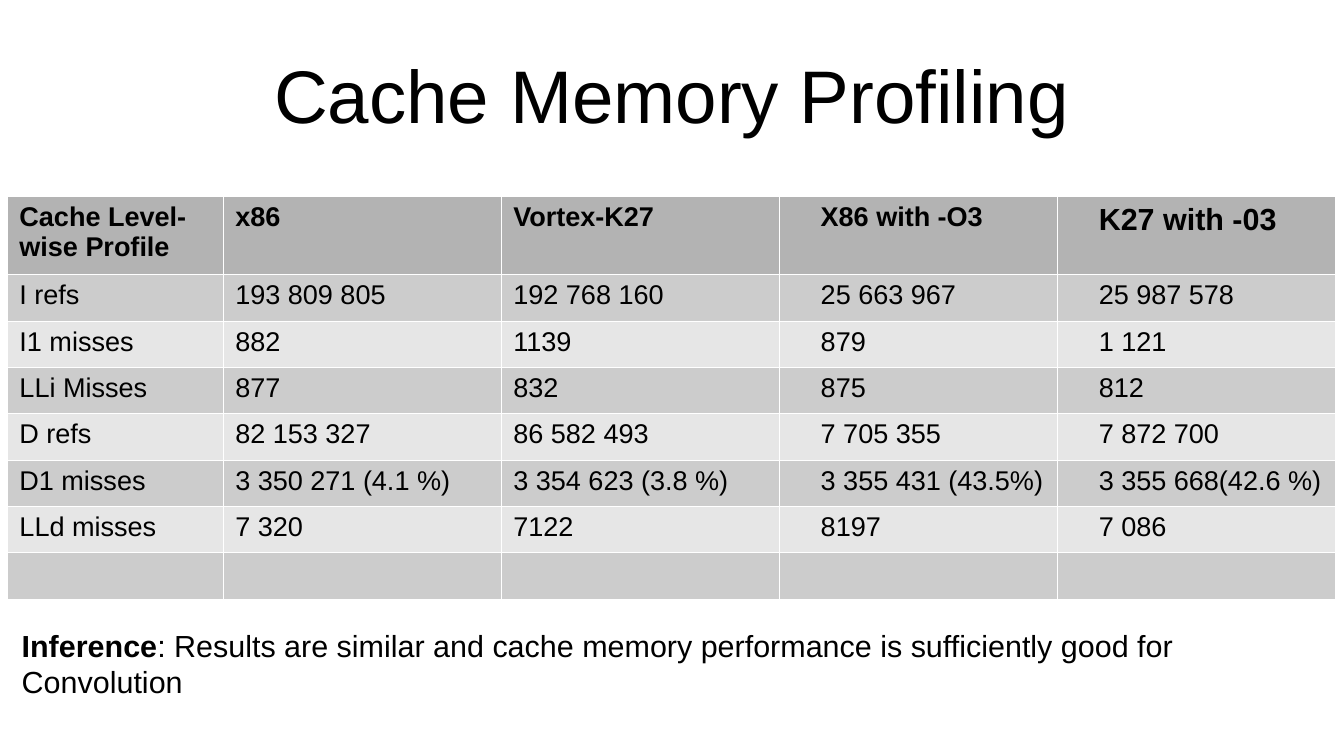
from dataclasses import dataclass
from lxml.etree import SubElement
from pptx import Presentation
from pptx.dml.color import RGBColor
from pptx.enum.text import MSO_ANCHOR, PP_ALIGN
from pptx.oxml.ns import qn
from pptx.util import Inches, Pt


@dataclass(frozen=True)
class Theme:
    face: str = "Arial"
    ink: str = "000000"
    line: str = "FFFFFF"
    head: str = "B3B3B3"
    bands: tuple = ("CCCCCC", "E6E6E6")
    title: int = 44
    note: int = 18
    body: int = 16


THEME = Theme()
WIDTHS = [1.77] + [2.28] * 4
ROWS = [
    ["Cache Level-wise Profile", "x86", "Vortex-K27", "X86 with -O3", "K27 with -03"],
    ["I refs", "193 809 805", "192 768 160", "25 663 967", "25 987 578"],
    ["I1 misses", "882", "1139", "879", "1 121"],
    ["LLi Misses", "877", "832", "875", "812"],
    ["D refs", "82 153 327", "86 582 493", "7 705 355", "7 872 700"],
    ["D1 misses", "3 350 271 (4.1 %)", "3 354 623 (3.8 %)",
     "3 355 431 (43.5%)", "3 355 668(42.6 %)"],
    ["LLd misses", "7 320", "7122", "8197", "7 086"],
    [""] * 5,
]


def style(run, size, bold=False):
    font = run.font
    font.name = THEME.face
    font.size = Pt(size)
    font.bold = bold
    font.color.rgb = RGBColor.from_string(THEME.ink)


def add_box(slide, left, top, width, height):
    box = slide.shapes.add_textbox(
        Inches(left), Inches(top), Inches(width), Inches(height))
    box.text_frame.word_wrap = True
    return box.text_frame


def add_title(slide, text):
    frame = add_box(slide, 0.55, 0.25, 9.92, 1.04)
    frame.margin_left = frame.margin_right = 0
    frame.margin_top = frame.margin_bottom = 0
    frame.vertical_anchor = MSO_ANCHOR.MIDDLE
    frame.text = text
    para = frame.paragraphs[0]
    para.alignment = PP_ALIGN.CENTER
    style(para.runs[0], THEME.title)


def add_edges(cell):
    props = cell._tc.get_or_add_tcPr()
    for side in ("L", "R", "T", "B"):
        edge = SubElement(props, qn(f"a:ln{side}"), w=str(Pt(0.06)))
        fill = SubElement(edge, qn("a:solidFill"))
        SubElement(fill, qn("a:srgbClr"), val=THEME.line)


def fill_cell(cell, text, color, size, bold, inset):
    add_edges(cell)
    cell.fill.solid()
    cell.fill.fore_color.rgb = RGBColor.from_string(color)
    cell.text_frame.text = text
    para = cell.text_frame.paragraphs[0]
    if inset:
        para._p.get_or_add_pPr().set("marL", str(Inches(0.24)))
    for run in para.runs:
        style(run, size, bold)
    if not text:
        SubElement(para._p, qn("a:endParaRPr"), sz=str(size * 100))


def add_grid(slide):
    table = slide.shapes.add_table(
        len(ROWS), len(WIDTHS), Inches(0.06), Inches(1.61),
        Inches(sum(WIDTHS)), Inches(3.3)).table
    for column, width in zip(table.columns, WIDTHS):
        column.width = Inches(width)
    for i, row in enumerate(ROWS):
        head = i == 0
        table.rows[i].height = Inches(0.64 if head else 0.38)
        color = THEME.head if head else THEME.bands[(i - 1) % 2]
        for j, text in enumerate(row):
            size = THEME.note if head and j == 4 else THEME.body
            fill_cell(table.cell(i, j), text, color, size, head, j > 2 and text)


def add_note(slide, label, text):
    para = add_box(slide, 0.08, 5.09, 10.87, 0.66).paragraphs[0]
    for part, bold in ((label, True), (text, False)):
        run = para.add_run()
        run.text = part
        style(run, THEME.note, bold)


def main():
    deck = Presentation()
    deck.slide_width = Inches(11.02)
    deck.slide_height = Inches(6.2)
    slide = deck.slides.add_slide(deck.slide_layouts[6])
    add_title(slide, "Cache Memory Profiling")
    add_grid(slide)
    add_note(slide, "Inference", ": Results are similar and cache memory "
             "performance is sufficiently good for Convolution")
    deck.save("out.pptx")


if __name__ == "__main__":
    main()
